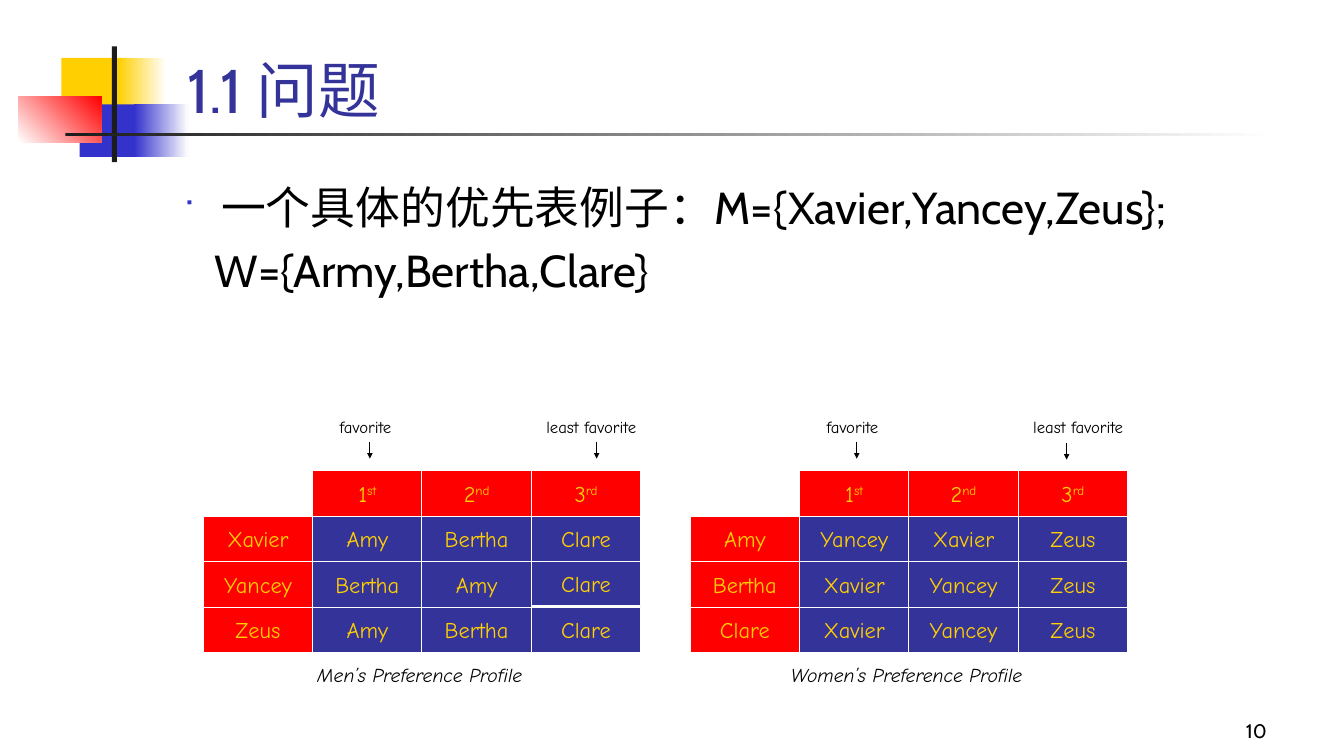
from dataclasses import dataclass

from lxml.etree import SubElement
from pptx import Presentation
from pptx.dml.color import RGBColor
from pptx.enum.shapes import MSO_CONNECTOR, MSO_SHAPE
from pptx.enum.text import MSO_ANCHOR, MSO_AUTO_SIZE, PP_ALIGN
from pptx.oxml.ns import qn
from pptx.util import Pt

COLORS = {
    "white": "FFFFFF",
    "black": "000000",
    "charcoal": "1C1C1C",
    "gold": "FFCF01",
    "red": "FF0000",
    "blue": "3333CC",
    "navy": "333399",
}
HEADING_FONT = "Cabin"
GRID_FONT = "Comic Neue"
COLUMN_WIDTH = 78.1
ROW_HEIGHT = 32.5
GRID_TOP = 336.2
RANKS = (("1", "st"), ("2", "nd"), ("3", "rd"))


@dataclass(frozen=True)
class Block:
    left: float
    top: float
    width: float
    height: float
    start: str
    end: str = ""
    angle: float = 0


@dataclass(frozen=True)
class Label:
    text: str
    left: float
    top: float
    width: float
    height: float
    size: float
    font: str = HEADING_FONT
    color: str = "black"
    align: PP_ALIGN = PP_ALIGN.LEFT
    anchor: MSO_ANCHOR = MSO_ANCHOR.TOP
    italic: bool = False
    wrap: bool = True
    tight: bool = False


@dataclass(frozen=True)
class Arrow:
    x: float
    top: float = 315.4


@dataclass(frozen=True)
class Profile:
    caption: str
    left: float
    choices: dict[str, tuple[str, str, str]]
    arrows: tuple[Arrow, Arrow]
    raised: tuple[int, int] | None = None


BLOCKS = (
    Block(43.9, 41.3, 46.1, 37.4, "gold"),
    Block(84.2, 41.3, 34.6, 37.4, "gold", "white"),
    Block(56.9, 74.6, 44.6, 37.4, "blue"),
    Block(95.8, 74.6, 38.9, 37.4, "blue", "white"),
    Block(13.3, 68.8, 59, 33.1, "white", "red", 45),
    Block(79.9, 33.1, 3.6, 82.8, "charcoal"),
    Block(46.8, 95, 864, 2.2, "charcoal", "white"),
)
LABELS = (
    Label("10", 711.8, 498.2, 200.2, 36, 14, align=PP_ALIGN.RIGHT, anchor=MSO_ANCHOR.BOTTOM),
    Label("1.1 问题", 126.7, 3.6, 817.9, 90, 44, color="navy", anchor=MSO_ANCHOR.BOTTOM),
)
EXAMPLE = Label(
    "一个具体的优先表例子：M={Xavier,Yancey,Zeus};\nW={Army,Bertha,Clare}",
    123.9, 124.8, 815.8, 324, 32,
)
PROFILES = (
    Profile(
        "Men’s Preference Profile",
        145.2,
        {
            "Xavier": ("Amy", "Bertha", "Clare"),
            "Yancey": ("Bertha", "Amy", "Clare"),
            "Zeus": ("Amy", "Bertha", "Clare"),
        },
        (Arrow(264.2), Arrow(426.2)),
        raised=(2, 3),
    ),
    Profile(
        "Women’s Preference Profile",
        493,
        {
            "Amy": ("Yancey", "Xavier", "Zeus"),
            "Bertha": ("Xavier", "Yancey", "Zeus"),
            "Clare": ("Xavier", "Yancey", "Zeus"),
        },
        (Arrow(612), Arrow(761.9, 316.1)),
    ),
)


def rgb(name: str) -> RGBColor:
    return RGBColor.from_string(COLORS[name])


def style(paragraph, size: float, font: str, color: str, italic: bool = False) -> None:
    for span in paragraph.runs:
        span.font.size = Pt(size)
        span.font.name = font
        span.font.color.rgb = rgb(color)
        span.font.italic = italic


def add_block(page, block: Block):
    shape = page.shapes.add_shape(
        MSO_SHAPE.RECTANGLE, Pt(block.left), Pt(block.top), Pt(block.width), Pt(block.height)
    )
    shape.shadow.inherit = False
    shape.line.fill.background()
    if block.end:
        shape.fill.gradient()
        shape.fill.gradient_angle = block.angle
        for stop, color in zip(shape.fill.gradient_stops, (block.start, block.end)):
            stop.color.rgb = rgb(color)
    else:
        shape.fill.solid()
        shape.fill.fore_color.rgb = rgb(block.start)
    return shape


def add_label(page, label: Label):
    box = page.shapes.add_textbox(Pt(label.left), Pt(label.top), Pt(label.width), Pt(label.height))
    frame = box.text_frame
    frame.word_wrap = label.wrap
    frame.vertical_anchor = label.anchor
    if label.tight:
        frame.auto_size = MSO_AUTO_SIZE.SHAPE_TO_FIT_TEXT
        frame.margin_left = frame.margin_right = frame.margin_top = frame.margin_bottom = 0
    frame.text = label.text
    for paragraph in frame.paragraphs:
        paragraph.alignment = label.align
        style(paragraph, label.size, label.font, label.color, label.italic)
    return box


def add_example(page) -> None:
    bulleted, continued = add_label(page, EXAMPLE).text_frame.paragraphs
    properties = bulleted._p.get_or_add_pPr()
    properties.set("marL", str(Pt(27)))
    properties.set("indent", str(-Pt(27)))
    SubElement(SubElement(properties, qn("a:buClr")), qn("a:srgbClr"), val=COLORS["blue"])
    SubElement(properties, qn("a:buSzPct"), val="60000")
    SubElement(properties, qn("a:buFont"), typeface="Wingdings", charset="2")
    SubElement(properties, qn("a:buChar"), char="■")
    continued._p.get_or_add_pPr().set("marL", str(Pt(22.4)))
    continued.space_before = Pt(6.8)


def add_cell(page, block: Block, text: str, suffix: str) -> None:
    cell = add_block(page, block)
    cell.line.color.rgb = rgb("white")
    cell.line.width = Pt(0.75)
    frame = cell.text_frame
    frame.word_wrap = False
    frame.vertical_anchor = MSO_ANCHOR.MIDDLE
    paragraph = frame.paragraphs[0]
    paragraph.text = text
    paragraph.alignment = PP_ALIGN.CENTER
    if suffix:
        ordinal = paragraph.add_run()
        ordinal.text = suffix
        ordinal._r.get_or_add_rPr().set("baseline", "30000")
    style(paragraph, 16, GRID_FONT, "gold")


def add_grid(page, profile: Profile) -> None:
    rows = [(("", ""), *RANKS)]
    for person, ranking in profile.choices.items():
        rows.append(tuple((name, "") for name in (person, *ranking)))
    for y, row in reversed(list(enumerate(rows))):
        for x, (text, suffix) in enumerate(row):
            if not text:
                continue
            lift = 0.9 if (y, x) == profile.raised else 0
            block = Block(
                profile.left + x * COLUMN_WIDTH, GRID_TOP + y * ROW_HEIGHT - lift,
                COLUMN_WIDTH, ROW_HEIGHT, "navy" if x and y else "red",
            )
            add_cell(page, block, text, suffix)


def add_arrow(page, arrow: Arrow) -> None:
    line = page.shapes.add_connector(
        MSO_CONNECTOR.STRAIGHT, Pt(arrow.x), Pt(arrow.top), Pt(arrow.x), Pt(arrow.top + 12.2)
    )
    line.line.width = Pt(0.75)
    line.line.color.rgb = rgb("black")
    SubElement(line.line._get_or_add_ln(), qn("a:tailEnd"), type="triangle", w="sm", len="sm")
    SubElement(line._element.spPr, qn("a:effectLst"))


def add_profile(page, profile: Profile) -> None:
    add_grid(page, profile)
    add_label(page, Label(
        profile.caption, profile.left - 1.2, 465.5, 311.8, 32.4, 14, GRID_FONT,
        align=PP_ALIGN.CENTER, anchor=MSO_ANCHOR.MIDDLE, italic=True, wrap=False,
    ))
    for text, offset, width in (("favorite", 97.4, 46.1), ("least favorite", 245, 77.8)):
        add_label(page, Label(
            text, profile.left + offset, 297.4, width, 14.4, 12, GRID_FONT, wrap=False, tight=True
        ))
    for arrow in profile.arrows:
        add_arrow(page, arrow)


def main() -> None:
    deck = Presentation()
    deck.slide_width, deck.slide_height = Pt(960), Pt(540)
    page = deck.slides.add_slide(deck.slide_layouts[6])
    for block in BLOCKS:
        add_block(page, block)
    for label in LABELS:
        add_label(page, label)
    add_example(page)
    for profile in PROFILES:
        add_profile(page, profile)
    deck.save("out.pptx")


if __name__ == "__main__":
    main()
